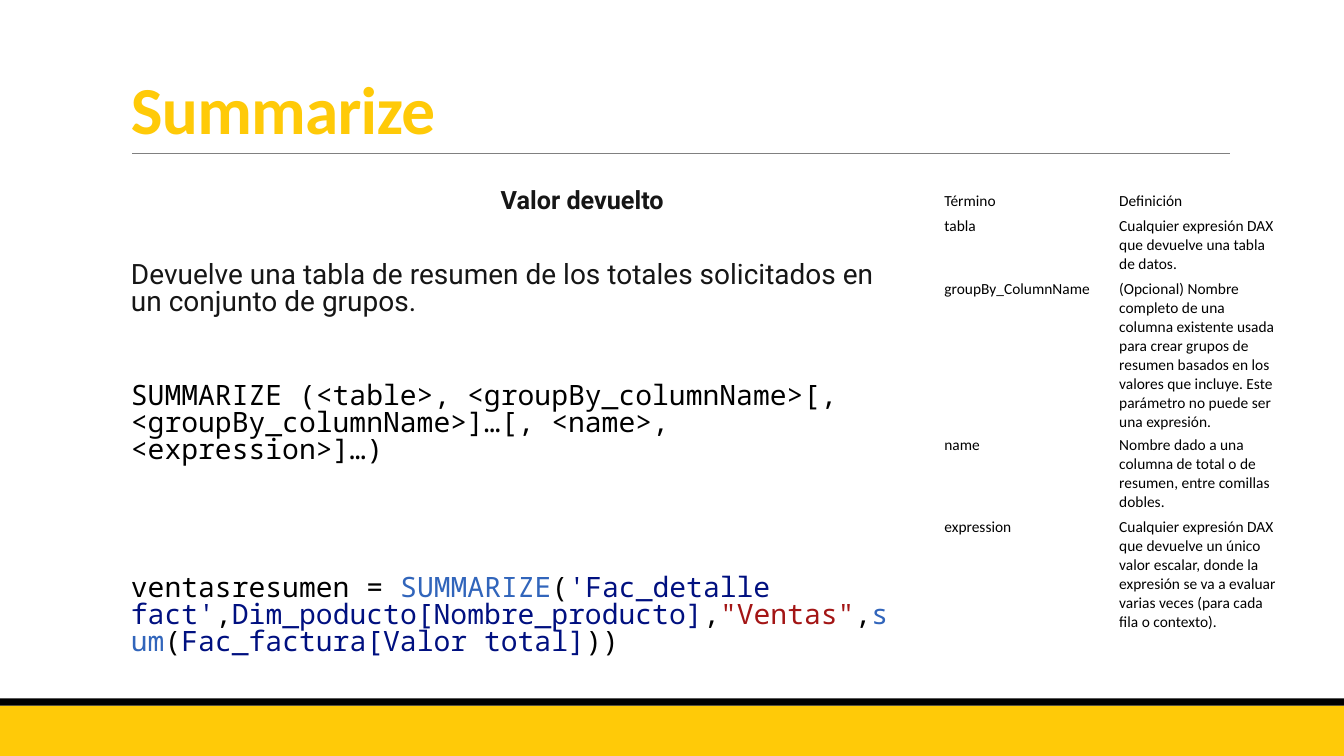
import pptx
import pptx.util
import pptx.dml.color
import pptx.enum.shapes
import pptx.enum.text
from dataclasses import dataclass
from lxml import etree
from pptx.util import Cm, Pt


@dataclass(frozen=True)
class Theme:
    yellow: str = "FFCA08"
    black: str = "000000"
    rule: str = "808080"
    dark: str = "161616"
    function: str = "3165BB"
    column: str = "001080"
    string: str = "A31515"
    sans: str = "Calibri"
    body: str = "Roboto"
    mono: str = "Noto Sans Mono"
    title_size: int = 48
    heading_size: int = 18
    body_size: int = 20
    table_size: int = 11


theme = Theme()


def style(r, font, size, color, bold=False):
    r.font.name = font
    r.font.size = Pt(size)
    r.font.bold = bold
    r.font.color.rgb = pptx.dml.color.RGBColor.from_string(color)


def add_box(left, top, width, height, inset_x, inset_y):
    tf = s.shapes.add_textbox(Cm(left), Cm(top), Cm(width), Cm(height)).text_frame
    tf.word_wrap = True
    tf.margin_left = tf.margin_right = Cm(inset_x)
    tf.margin_top = tf.margin_bottom = Cm(inset_y)
    return tf


prs = pptx.Presentation()
prs.slide_width, prs.slide_height = Cm(33.87), Cm(19.05)
s = prs.slides.add_slide(prs.slide_layouts[6])

for top, height, color in ((17.78, 1.27, theme.yellow), (17.6, 0.18, theme.black)):
    sp = s.shapes.add_shape(pptx.enum.shapes.MSO_SHAPE.RECTANGLE,
                            0, Cm(top), prs.slide_width, Cm(height))
    sp.shadow.inherit = False
    sp.fill.solid()
    sp.fill.fore_color.rgb = pptx.dml.color.RGBColor.from_string(color)
    sp.line.fill.background()

rule = s.shapes.add_connector(pptx.enum.shapes.MSO_CONNECTOR.STRAIGHT,
                              Cm(3.33), Cm(3.86), Cm(31), Cm(3.86))
rule.line.width = Pt(0.5)
rule.line.color.rgb = pptx.dml.color.RGBColor.from_string(theme.rule)
etree.SubElement(rule._element.spPr, pptx.oxml.ns.qn("a:effectLst"))

tf = add_box(3.05, 0.71, 27.94, 3.15, 0.25, 0.13)
tf.vertical_anchor = pptx.enum.text.MSO_ANCHOR.BOTTOM
tf.text = "Summarize"
p = tf.paragraphs[0]
p.line_spacing = 0.85
style(p.runs[0], theme.sans, theme.title_size, theme.yellow, True)
p.runs[0]._r.get_or_add_rPr().set("spc", "-50")

tf = add_box(12.62, 4.65, 9, 0.8, 0, 0)
tf.text = "Valor devuelto"
style(tf.paragraphs[0].runs[0], theme.body, theme.heading_size, theme.dark, True)

body = (
    (0, theme.body, (
        ("Devuelve una tabla de resumen de los totales solicitados en un conjunto de grupos.", theme.dark),
    )),
    (46, theme.mono, (
        ("SUMMARIZE (<table>, <groupBy_columnName>[, <groupBy_columnName>]…[, <name>, <expression>]…)", theme.black),
    )),
    (78, theme.mono, (
        ("ventasresumen = ", theme.black),
        ("SUMMARIZE", theme.function),
        ("(", theme.black),
        ("'Fac_detalle fact'", theme.column),
        (",", theme.black),
        ("Dim_poducto[Nombre_producto]", theme.column),
        (",", theme.black),
        ('"Ventas"', theme.string),
        (",", theme.black),
        ("sum", theme.function),
        ("(", theme.black),
        ("Fac_factura[Valor total]", theme.column),
        ("))", theme.black),
    )),
)
tf = add_box(3.05, 6.5, 19.66, 9.8, 0, 0.13)
tf.margin_left = Cm(0.25)
for i, (gap, font, parts) in enumerate(body):
    p = tf.add_paragraph() if i else tf.paragraphs[0]
    p.line_spacing = Pt(19.2)
    p.space_before, p.space_after = Pt(gap), Pt(2)
    for text, color in parts:
        r = p.add_run()
        r.text = text
        style(r, font, theme.body_size, color)

terms = (
    (0.64, "Término", "Definición"),
    (1.58, "tabla", "Cualquier expresión DAX que devuelve una tabla de datos."),
    (3.94, "groupBy_ColumnName", "(Opcional) Nombre completo de una columna existente usada para crear "
     "grupos de resumen basados en los valores que incluye. Este parámetro no puede ser una expresión."),
    (2.06, "name", "Nombre dado a una columna de total o de resumen, entre comillas dobles."),
    (3, "expression", "Cualquier expresión DAX que devuelve un único valor escalar, donde la "
     "expresión se va a evaluar varias veces (para cada fila o contexto)."),
)
table = s.shapes.add_table(len(terms), 2, Cm(23.65), Cm(4.75), Cm(8.81), Cm(11.22)).table
table.first_row = table.horz_banding = False
for row, (height, *texts) in zip(table.rows, terms):
    row.height = Cm(height)
    for cell, text in zip(row.cells, texts):
        cell.fill.background()
        cell.margin_left = cell.margin_right = Cm(0.15)
        cell.margin_top = cell.margin_bottom = Cm(0.08)
        cell.text_frame.text = text
        style(cell.text_frame.paragraphs[0].runs[0], theme.sans, theme.table_size, theme.black)

prs.save("out.pptx")
